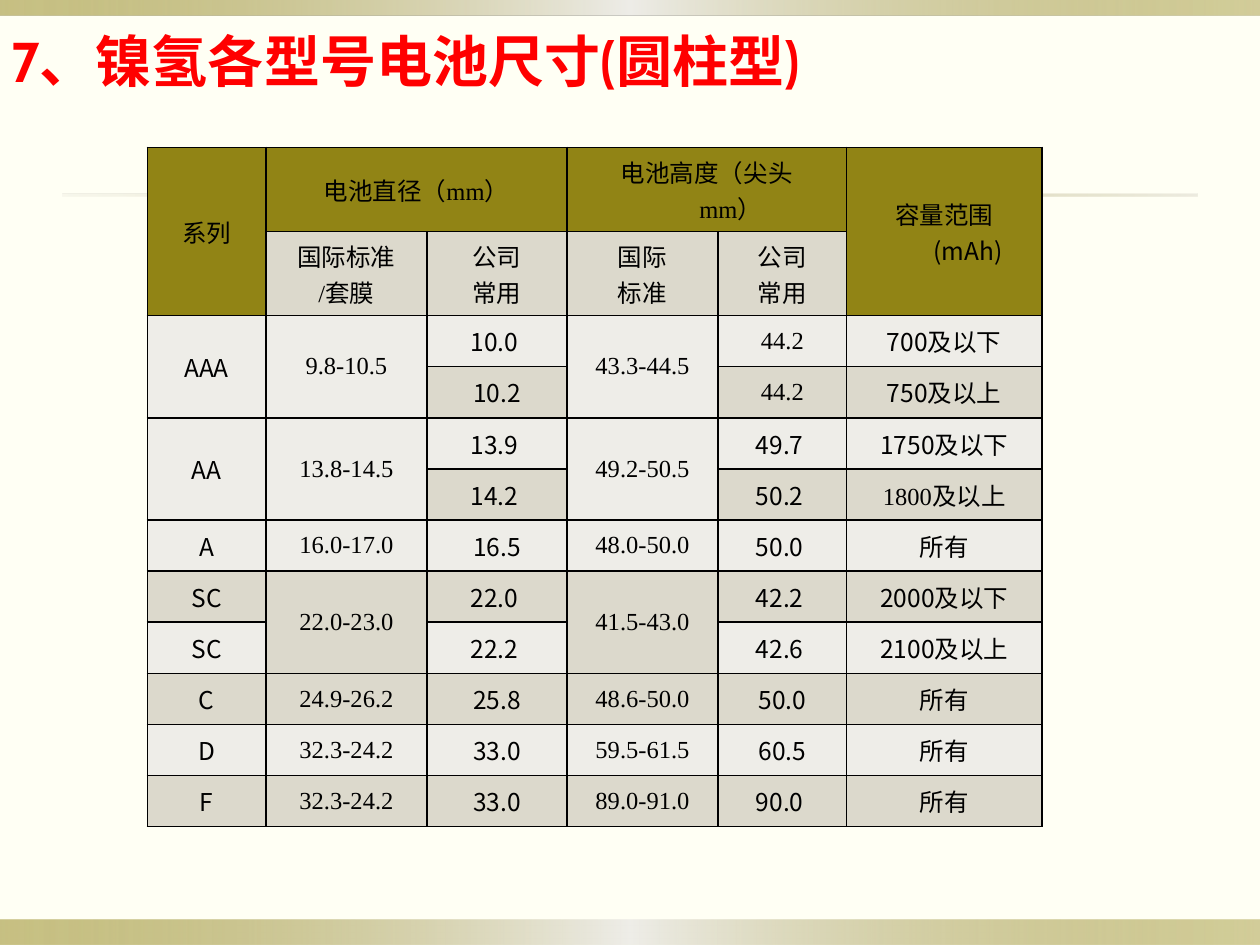
import pptx
import pptx.util
import pptx.dml.color
import pptx.enum.shapes
import pptx.enum.text
import pptx.oxml
import pptx.oxml.ns
from dataclasses import dataclass

Inches = pptx.util.Inches
Pt = pptx.util.Pt
Align = pptx.enum.text.PP_ALIGN
Anchor = pptx.enum.text.MSO_ANCHOR


@dataclass(frozen=True)
class Theme:
    page: str = "FFFFF4"
    olive: str = "918415"
    dark: str = "DCD9CC"
    light: str = "EEEDE8"
    ink: str = "000000"
    red: str = "FF0000"
    head: str = "Cabin"
    sans: str = "Noto Sans CJK SC"
    serif: str = "Times New Roman"
    big: int = 32
    small: int = 14
    edge: int = 1


THEME = Theme()
WIDE, HIGH = 10, 7.5
COLS = [0.94, 1.28, 1.11, 1.2, 1.02, 1.55]
ROWS = [
    ["系列", "电池直径（mm）", None, "电池高度（尖头mm）", None, "容量范围(mAh)"],
    [None, "国际标准\n/套膜", "公司\n常用", "国际\n标准", "公司\n常用", None],
    ["AAA", "9.8-10.5", "10.0 ", "43.3-44.5", "44.2", "700及以下"],
    [None, None, "10.2", None, "44.2", "750及以上"],
    ["AA", "13.8-14.5", "13.9 ", "49.2-50.5", "49.7 ", "1750及以下"],
    [None, None, "14.2 ", None, "50.2 ", "1800及以上"],
    ["A", "16.0-17.0", "16.5", "48.0-50.0", "50.0 ", "所有"],
    ["SC", "22.0-23.0", "22.0 ", "41.5-43.0", "42.2 ", "2000及以下"],
    ["SC", None, "22.2 ", None, "42.6 ", "2100及以上"],
    ["C", "24.9-26.2", "25.8", "48.6-50.0", "50.0", "所有"],
    ["D", "32.3-24.2", "33.0", "59.5-61.5", "60.5", "所有"],
    ["F", "32.3-24.2", "33.0", "89.0-91.0", "90.0 ", "所有"],
]
# Top row, left column, bottom row, right column
SPANS = [(0, 1, 0, 2), (0, 3, 0, 4), (0, 0, 1, 0), (0, 5, 1, 5),
         (2, 0, 3, 0), (4, 0, 5, 0)]
SPANS += [(row, col, row + 1, col) for row in (2, 4, 7) for col in (1, 3)]
SERIF = {"44.2", "1800及以上", "所有"}


def color(code):
    return pptx.dml.color.RGBColor.from_string(code)


def write(frame, text, *, font, size, ink, bold=False, align=Align.LEFT,
          anchor=Anchor.TOP, hang=0):
    frame.word_wrap = True
    frame.vertical_anchor = anchor
    for num, line in enumerate(text.split("\n")):
        para = frame.add_paragraph() if num else frame.paragraphs[0]
        para.alignment = align
        if hang:
            props = para._p.get_or_add_pPr()
            props.set("marL", str(Inches(hang)))
            props.set("indent", str(-Inches(hang)))
        run = para.add_run()
        run.text = line
        run.font.name, run.font.size, run.font.bold = font, Pt(size), bold
        run.font.color.rgb = color(ink)
        east = pptx.oxml.parse_xml(
            f'<a:ea {pptx.oxml.ns.nsdecls("a")} typeface="{THEME.sans}"/>')
        run.font._element.find(pptx.oxml.ns.qn("a:latin")).addnext(east)


def add_band(slide, left, top, width, height, stops):
    band = slide.shapes.add_shape(
        pptx.enum.shapes.MSO_SHAPE.RECTANGLE,
        *map(Inches, (left, top, width, height)))
    band.shadow.inherit = False
    band.line.fill.background()
    marks = "".join(
        f'<a:gs pos="{place * 1000}"><a:srgbClr val="{code}">'
        f'<a:alpha val="{alpha * 1000}"/></a:srgbClr></a:gs>'
        for place, code, alpha in stops)
    grad = pptx.oxml.parse_xml(
        f'<a:gradFill {pptx.oxml.ns.nsdecls("a")} rotWithShape="1">'
        f'<a:gsLst>{marks}</a:gsLst><a:lin ang="0" scaled="0"/></a:gradFill>')
    band._element.spPr.find(pptx.oxml.ns.qn("a:prstGeom")).addnext(grad)


def add_edges(cell):
    props = cell._tc.get_or_add_tcPr()
    for side in "LRTB":
        props.append(pptx.oxml.parse_xml(
            f'<a:ln{side} {pptx.oxml.ns.nsdecls("a")} w="{Pt(THEME.edge)}">'
            f'<a:solidFill><a:srgbClr val="{THEME.ink}"/></a:solidFill>'
            f'</a:ln{side}>'))


def shade(row, col):
    if row == 0 or (row == 1 and col in (0, 5)):
        return THEME.olive
    return THEME.dark if row % 2 else THEME.light


def face(row, col, text):
    if row < 2:
        return THEME.sans if col in (0, 5) else THEME.serif
    return THEME.serif if col in (1, 3) or text in SERIF else THEME.sans


def add_grid(slide):
    frame = slide.shapes.add_table(
        len(ROWS), len(COLS), *map(Inches, (1.17, 1.17, 7.11, 5.03)))
    table = frame.table
    table.first_row = table.horz_banding = False
    for col, width in zip(table.columns, COLS):
        col.width = Inches(width)
    for row in table.rows:
        row.height = Pt(29.2)
    frame.height = Inches(5.03)
    for top, left, low, right in SPANS:
        table.cell(top, left).merge(table.cell(low, right))
    for row, texts in enumerate(ROWS):
        for col, text in enumerate(texts):
            cell = table.cell(row, col)
            add_edges(cell)
            cell.fill.solid()
            cell.fill.fore_color.rgb = color(shade(row, col))
            if text is None:
                continue
            cell.margin_left = cell.margin_right = Inches(0.2)
            cell.margin_top = cell.margin_bottom = Inches(0.05)
            write(cell.text_frame, text, font=face(row, col, text),
                  size=THEME.small, ink=THEME.ink, align=Align.CENTER,
                  hang=0.38)
            cell.vertical_anchor = Anchor.MIDDLE


def add_title(slide, text):
    title = slide.shapes.title
    title.left, title.top, title.width, title.height = map(
        Inches, (-0.01, 0.16, 8.84, 1.25))
    title.text_frame.auto_size = pptx.enum.text.MSO_AUTO_SIZE.NONE
    write(title.text_frame, text, font=THEME.head, size=THEME.big,
          ink=THEME.red, bold=True)


def main():
    deck = pptx.Presentation()
    deck.slide_width, deck.slide_height = Inches(WIDE), Inches(HIGH)
    slide = deck.slides.add_slide(deck.slide_layouts[5])
    slide.background.fill.solid()
    slide.background.fill.fore_color.rgb = color(THEME.page)
    gold = [(0, THEME.olive, 50), (50, THEME.light, 100), (100, THEME.olive, 40)]
    pale = [(0, THEME.dark, 20), (50, THEME.olive, 40), (100, THEME.dark, 50)]
    add_band(slide, 0, HIGH - 0.2, WIDE, 0.2, gold)
    add_band(slide, 0, 0, WIDE, 0.12, gold)
    add_band(slide, 0.05 * WIDE, 1.54, 0.9 * WIDE, 0.02, pale)
    add_title(slide, "7、镍氢各型号电池尺寸(圆柱型)")
    add_grid(slide)
    deck.save("out.pptx")


if __name__ == "__main__":
    main()
